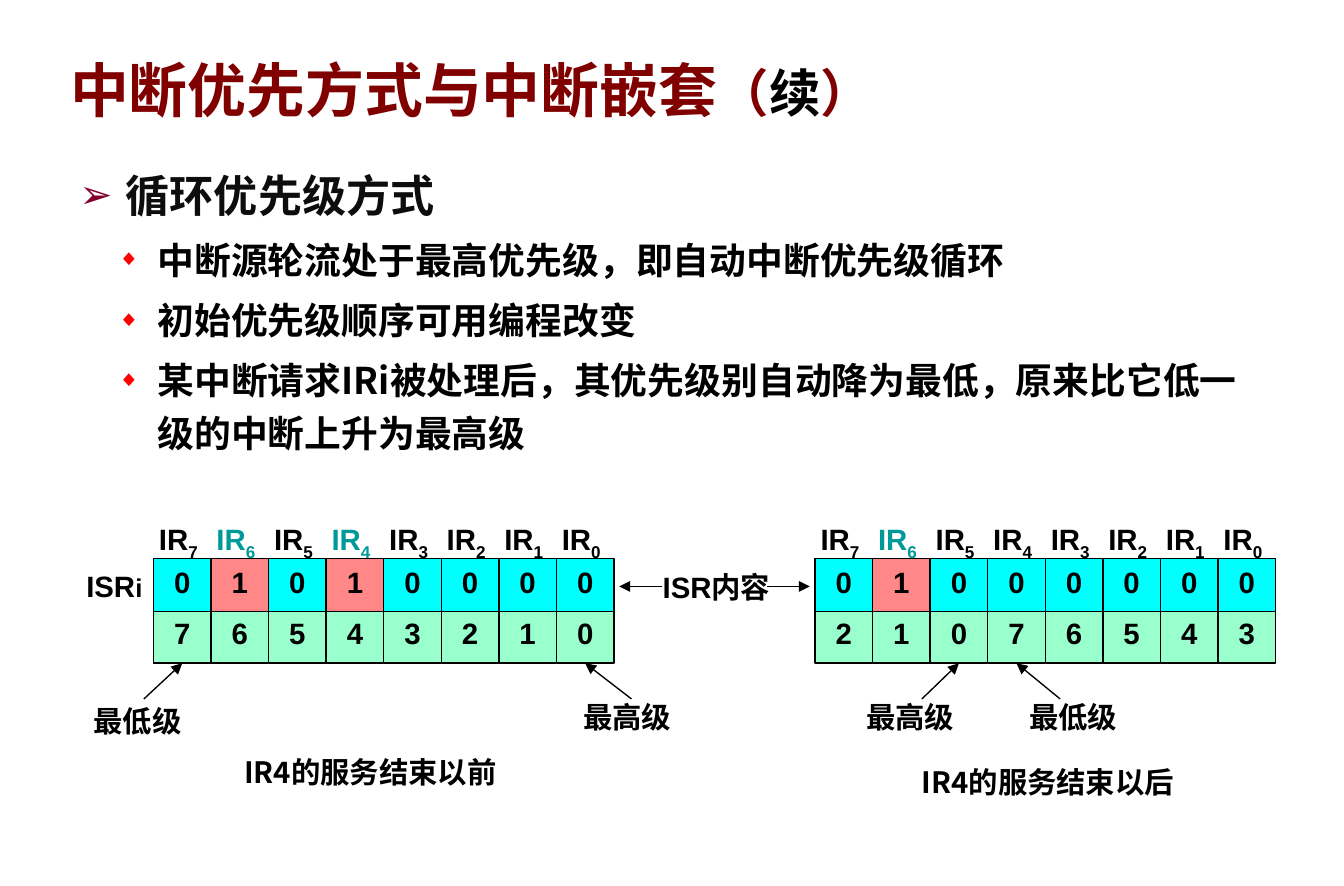
from dataclasses import dataclass

from lxml import etree
from pptx import Presentation
from pptx.dml.color import RGBColor
from pptx.enum.shapes import MSO_CONNECTOR as CONN, MSO_SHAPE as SHAPE
from pptx.enum.text import MSO_ANCHOR as ANCHOR, MSO_AUTO_SIZE as AUTO, PP_ALIGN as ALIGN
from pptx.oxml.ns import qn
from pptx.util import Cm, Inches, Pt


@dataclass(frozen=True)
class Theme:
    cjk: str = "Noto Sans CJK SC"
    latin: str = "Arial"
    title: str = "800000"
    heading: str = "0D0D0D"
    text: str = "000000"
    active: str = "009999"
    clear_bit: str = "00FFFF"
    set_bit: str = "FF8787"
    priority: str = "99FFCC"
    heading_bullet: str = "82002B"
    item_bullet: str = "FF0000"
    title_size: float = 32
    suffix_size: float = 28
    heading_size: float = 24
    item_size: float = 20
    label_size: float = 16
    small_size: float = 14
    line: float = 0.75


T = Theme()
CELL_W, CELL_H, ROW_STEP = 0.435, 0.4, 0.39


def add(parent, tag, **attrs):
    return etree.SubElement(parent, qn(tag), attrs)


def style(r, size, color=T.text, font=T.cjk):
    r.font.size = Pt(size)
    r.font.bold = True
    r.font.name = font
    r.font.color.rgb = RGBColor.from_string(color)
    add(r.font._element, "a:ea", typeface=T.cjk)


def add_runs(p, *runs):
    for text, *look in runs:
        r = p.add_run()
        r.text = text
        style(r, *look)


def center_text(sp, before, top, *runs):
    tf = sp.text_frame
    tf.word_wrap = True
    tf.vertical_anchor = ANCHOR.TOP
    tf.margin_left = tf.margin_right = tf.margin_bottom = 0
    tf.margin_top = Inches(top)
    p = tf.paragraphs[0]
    p.alignment = ALIGN.CENTER
    add(add(p._p.get_or_add_pPr(), "a:spcBef"), "a:spcPct", val=str(before * 1000))
    add_runs(p, *runs)


def add_label(slide, x, y, w, *runs):
    sp = slide.shapes.add_textbox(Inches(x), Inches(y), Inches(w), Inches(0.27))
    center_text(sp, 50, 0, *runs)
    sp.text_frame.auto_size = AUTO.SHAPE_TO_FIT_TEXT


def add_arrow(slide, x1, y1, x2, y2):
    line = slide.shapes.add_connector(CONN.STRAIGHT, *map(Inches, (x1, y1, x2, y2)))
    line.line.width = Pt(T.line)
    line.line.color.rgb = RGBColor.from_string(T.text)
    add(line.line._get_or_add_ln(), "a:tailEnd", type="triangle")
    add(line._element.spPr, "a:effectLst")


def place(sp, x, y, w, h):
    sp.left, sp.top, sp.width, sp.height = map(Inches, (x, y, w, h))
    sp.text_frame.auto_size = AUTO.NONE
    sp.text_frame.word_wrap = True


def add_title(slide, x, y, w, h):
    sp = slide.shapes.title
    place(sp, x, y, w, h)
    sp.text_frame.vertical_anchor = ANCHOR.BOTTOM
    p = sp.text_frame.paragraphs[0]
    p.alignment = ALIGN.LEFT
    add_runs(p, ("中断优先方式与中断嵌套", T.title_size, T.title),
             ("（", T.suffix_size, T.title), ("续", T.suffix_size),
             ("）", T.suffix_size, T.title))


def add_body(slide, x, y, w, h):
    heading = (0, 0.35, -0.35, 6, "➢", T.heading_bullet, 90, T.heading_size, T.heading)
    item = (1, 0.59, -0.3, 4, "◆", T.item_bullet, 60, T.item_size, T.text)
    lines = [
        ("循环优先级方式", heading),
        ("中断源轮流处于最高优先级，即自动中断优先级循环", item),
        ("初始优先级顺序可用编程改变", item),
        ("某中断请求IRi被处理后，其优先级别自动降为最低，原来比它低一级的中断上升为最高级", item),
    ]
    sp = slide.placeholders[1]
    place(sp, x, y, w, h)
    tf = sp.text_frame
    tf.text = "\n".join(text for text, _ in lines)
    for p, (_, look) in zip(tf.paragraphs, lines):
        level, margin, indent, before, mark, mark_color, mark_size, size, color = look
        p.level = level
        p.alignment = ALIGN.LEFT
        p.line_spacing = 1.2
        p.space_before = Pt(before)
        pPr = p._p.get_or_add_pPr()
        pPr.set("marL", str(Inches(margin)))
        pPr.set("indent", str(Inches(indent)))
        add(add(pPr, "a:buClr"), "a:srgbClr", val=mark_color)
        add(pPr, "a:buSzPct", val=str(mark_size * 1000))
        add(pPr, "a:buFont", typeface=T.latin)
        add(pPr, "a:buChar", char=mark)
        style(p.runs[0], size, color)


def add_cell(slide, x, y, text, fill):
    sp = slide.shapes.add_shape(SHAPE.RECTANGLE, *map(Inches, (x, y, CELL_W, CELL_H)))
    sp.shadow.inherit = False
    sp.fill.solid()
    sp.fill.fore_color.rgb = RGBColor.from_string(fill)
    sp.line.color.rgb = RGBColor.from_string(T.text)
    sp.line.width = Pt(T.line)
    center_text(sp, 20, 0.04, (text, T.label_size, T.text, T.latin))


def add_register(slide, x, y, bits, priorities, pointers, caption, caption_dx, caption_dy):
    for i, (bit, priority) in enumerate(zip(bits, priorities)):
        left = x + i * CELL_W
        is_set = bit == "1"
        add_cell(slide, left, y + ROW_STEP, priority, T.priority)
        add_cell(slide, left, y, bit, T.set_bit if is_set else T.clear_bit)
        name = slide.shapes.add_textbox(*map(Inches, (left - 0.03, y - 0.32, CELL_W, 0.39)))
        look = (T.label_size, T.active if is_set else T.text, T.latin)
        center_text(name, 20, 0.04, ("IR", *look), (str(7 - i), *look))
        name.text_frame.paragraphs[0].runs[1].font._element.set("baseline", "-25000")

    bottom = y + ROW_STEP + CELL_H
    for column, tail_dx, text, label_dx, label_dy in pointers:
        tip = x + (column + 0.5) * CELL_W
        add_arrow(slide, tip + tail_dx, bottom + 0.27, tip, bottom)
        add_label(slide, x + label_dx - 0.45, y + label_dy, 0.9, (text, T.label_size))
    add_label(slide, x + caption_dx, y + caption_dy, 2.96, (caption, T.label_size))


def add_register_names(slide, x, y):
    add_label(slide, x, y + 0.07, 0.53, ("ISR", T.label_size, T.text, T.latin),
              ("i", T.small_size, T.text, T.latin))
    add_label(slide, x + 4.35, y + 0.08, 0.93, ("ISR内容", T.label_size, T.text, T.latin))
    for start, end in ((4.4, 4.08), (5.2, 5.52)):
        add_arrow(slide, x + start, y + 0.21, x + end, y + 0.21)


def main():
    prs = Presentation()
    prs.slide_width = Cm(25.8)
    prs.slide_height = Cm(17)
    slide = prs.slides.add_slide(prs.slide_layouts[1])
    add_title(slide, 0.43, 0.36, 9.14, 0.63)
    add_body(slide, 0.5, 1.14, 9.14, 2.6)
    add_register(slide, 1.16, 4.22, "01010000", "76543210",
                 [(0, -0.29, "最低级", -0.12, 1.09), (7, 0.35, "最高级", 3.58, 1.06)],
                 "IR4的服务结束以前", 0.16, 1.48)
    add_register(slide, 6.16, 4.22, "01000000", "21076543",
                 [(2, -0.28, "最高级", 0.72, 1.06), (3, 0.33, "最低级", 1.95, 1.06)],
                 "IR4的服务结束以后", 0.28, 1.55)
    add_register_names(slide, 0.6, 4.22)
    prs.save("out.pptx")


if __name__ == "__main__":
    main()
